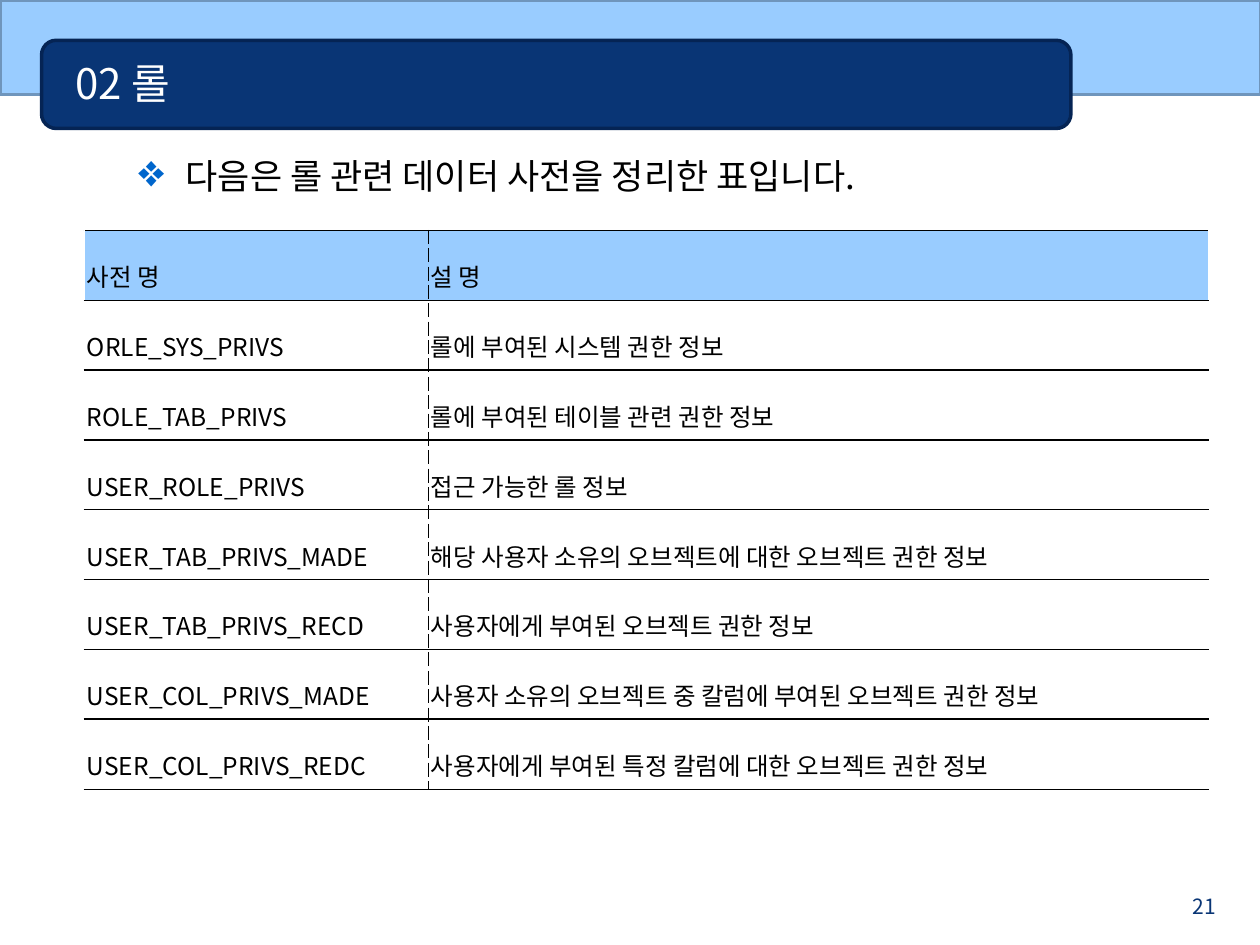
import pptx
import pptx.dml.color
import pptx.enum.shapes
import pptx.enum.text
import pptx.oxml
import pptx.oxml.ns
import pptx.util
from dataclasses import dataclass
from typing import Any, NamedTuple

Pt = pptx.util.Pt
Inches = pptx.util.Inches
Kind = pptx.enum.shapes.MSO_SHAPE
Align = pptx.enum.text.PP_ALIGN
Anchor = pptx.enum.text.MSO_ANCHOR


@dataclass(frozen=True)
class Theme:
    font: str = "Noto Sans CJK KR"
    sky: str = "99CCFF"
    steel: str = "6F95BC"
    navy: str = "093575"
    deep: str = "052454"
    mark: str = "0066CC"
    black: str = "000000"
    white: str = "FFFFFF"
    title: int = 24
    lead: int = 20
    cell: int = 14
    page: int = 12


class Box(NamedTuple):
    col: float
    row: float
    wide: float
    high: float


class Panel(NamedTuple):
    kind: Any
    box: Box
    fill: str
    line: str


class Label(NamedTuple):
    text: str
    box: Box
    size: int
    color: str
    align: Any = Align.LEFT
    anchor: Any = Anchor.TOP
    bullet: str = ""


class Entry(NamedTuple):
    name: str
    note: str


class Edge(NamedTuple):
    side: str
    width: float
    dash: str = "solid"


LOOK = Theme()
WIDE, HIGH = Inches(10), Inches(7.5)
COLS, ROWS = 100, 75

PANELS = [
    Panel(Kind.RECTANGLE, Box(0, 0, 100.1, 7.5), LOOK.sky, LOOK.steel),
    Panel(Kind.ROUNDED_RECTANGLE, Box(3.3, 3.2, 81.7, 7), LOOK.navy, LOOK.deep),
]
LABELS = [
    Label("21", Box(92.5, 70.4, 5, 2.1), LOOK.page, LOOK.navy, Align.RIGHT),
    Label("02 롤", Box(5, 3.45, 79.2, 6.2), LOOK.title, LOOK.white,
          anchor=Anchor.MIDDLE),
    Label("다음은 롤 관련 데이터 사전을 정리한 표입니다.", Box(10, 11.8, 90, 61.4),
          LOOK.lead, LOOK.black, bullet="❖"),
]
GRID = Box(6.7, 18.3, 89.2, 44.32)
SPLIT = [27.3, 61.9]
ENTRIES = [
    Entry("사전 명", "설 명"),
    Entry("ORLE_SYS_PRIVS", "롤에 부여된 시스템 권한 정보"),
    Entry("ROLE_TAB_PRIVS", "롤에 부여된 테이블 관련 권한 정보"),
    Entry("USER_ROLE_PRIVS", "접근 가능한 롤 정보"),
    Entry("USER_TAB_PRIVS_MADE", "해당 사용자 소유의 오브젝트에 대한 오브젝트 권한 정보"),
    Entry("USER_TAB_PRIVS_RECD", "사용자에게 부여된 오브젝트 권한 정보"),
    Entry("USER_COL_PRIVS_MADE", "사용자 소유의 오브젝트 중 칼럼에 부여된 오브젝트 권한 정보"),
    Entry("USER_COL_PRIVS_REDC", "사용자에게 부여된 특정 칼럼에 대한 오브젝트 권한 정보"),
]


def across(cols: float) -> int:
    return round(WIDE * cols / COLS)


def down(rows: float) -> int:
    return round(HIGH * rows / ROWS)


def place(box: Box) -> tuple[int, int, int, int]:
    return across(box.col), down(box.row), across(box.wide), down(box.high)


def tint(code: str) -> pptx.dml.color.RGBColor:
    return pptx.dml.color.RGBColor.from_string(code)


def node(text: str) -> Any:
    space = pptx.oxml.ns.nsdecls("a")
    return pptx.oxml.parse_xml(text.replace(" ", f" {space} ", 1))


def write(para: Any, text: str, size: int, color: str) -> None:
    run = para.add_run()
    run.text = text
    run.font.name = LOOK.font
    run.font.size = Pt(size)
    run.font.color.rgb = tint(color)


def draw_panel(slide: Any, panel: Panel) -> None:
    shape = slide.shapes.add_shape(panel.kind, *place(panel.box))
    shape.shadow.inherit = False
    shape.fill.solid()
    shape.fill.fore_color.rgb = tint(panel.fill)
    shape.line.color.rgb = tint(panel.line)
    shape.line.width = Pt(2)


def draw_label(slide: Any, label: Label) -> None:
    frame = slide.shapes.add_textbox(*place(label.box)).text_frame
    frame.word_wrap = True
    frame.vertical_anchor = label.anchor
    para = frame.paragraphs[0]
    para.alignment = label.align
    if label.bullet:
        para.space_before = Pt(24)
        props = para._p.get_or_add_pPr()
        props.set("marL", str(across(3.75)))
        props.set("indent", str(-across(3.75)))
        props.append(node(f'<a:buClr ><a:srgbClr val="{LOOK.mark}"/></a:buClr>'))
        props.append(node('<a:buSzPct val="130000"/>'))
        props.append(node(f'<a:buChar char="{label.bullet}"/>'))
    write(para, label.text, label.size, label.color)


def rule(cell: Any, edge: Edge) -> None:
    cell._tc.get_or_add_tcPr().append(node(
        f'<a:ln{edge.side} w="{Pt(edge.width)}"><a:solidFill>'
        f'<a:srgbClr val="{LOOK.black}"/></a:solidFill>'
        f'<a:prstDash val="{edge.dash}"/></a:ln{edge.side}>'))


def draw_cell(cell: Any, text: str, fill: str, edges: list[Edge]) -> None:
    cell.margin_left = cell.margin_right = Inches(0.02)
    cell.margin_top = cell.margin_bottom = Inches(0.05)
    cell.vertical_anchor = Anchor.MIDDLE
    for edge in edges:
        rule(cell, edge)
    cell.fill.solid()
    cell.fill.fore_color.rgb = tint(fill)
    para = cell.text_frame.paragraphs[0]
    para.alignment = Align.JUSTIFY
    para.line_spacing = 1.6
    write(para, text, LOOK.cell, LOOK.black)


def draw_table(slide: Any, entries: list[Entry]) -> None:
    table = slide.shapes.add_table(len(entries), len(SPLIT), *place(GRID)).table
    table.first_row = table.horz_banding = False
    for col, wide in zip(table.columns, SPLIT):
        col.width = across(wide)
    last = len(entries) - 1
    for row, entry in enumerate(entries):
        fill = LOOK.white if row else LOOK.sky
        base = 0.11 if row == last else 0.96
        for col, text in enumerate(entry):
            edges = [Edge("L" if col else "R", 0.28, "dash"),
                     Edge("T", 0.96), Edge("B", base)]
            draw_cell(table.cell(row, col), text, fill, edges)


def main() -> None:
    deck = pptx.Presentation()
    deck.slide_width, deck.slide_height = WIDE, HIGH
    slide = deck.slides.add_slide(deck.slide_layouts[6])
    for panel in PANELS:
        draw_panel(slide, panel)
    for label in LABELS:
        draw_label(slide, label)
    draw_table(slide, ENTRIES)
    deck.save("out.pptx")


if __name__ == "__main__":
    main()
